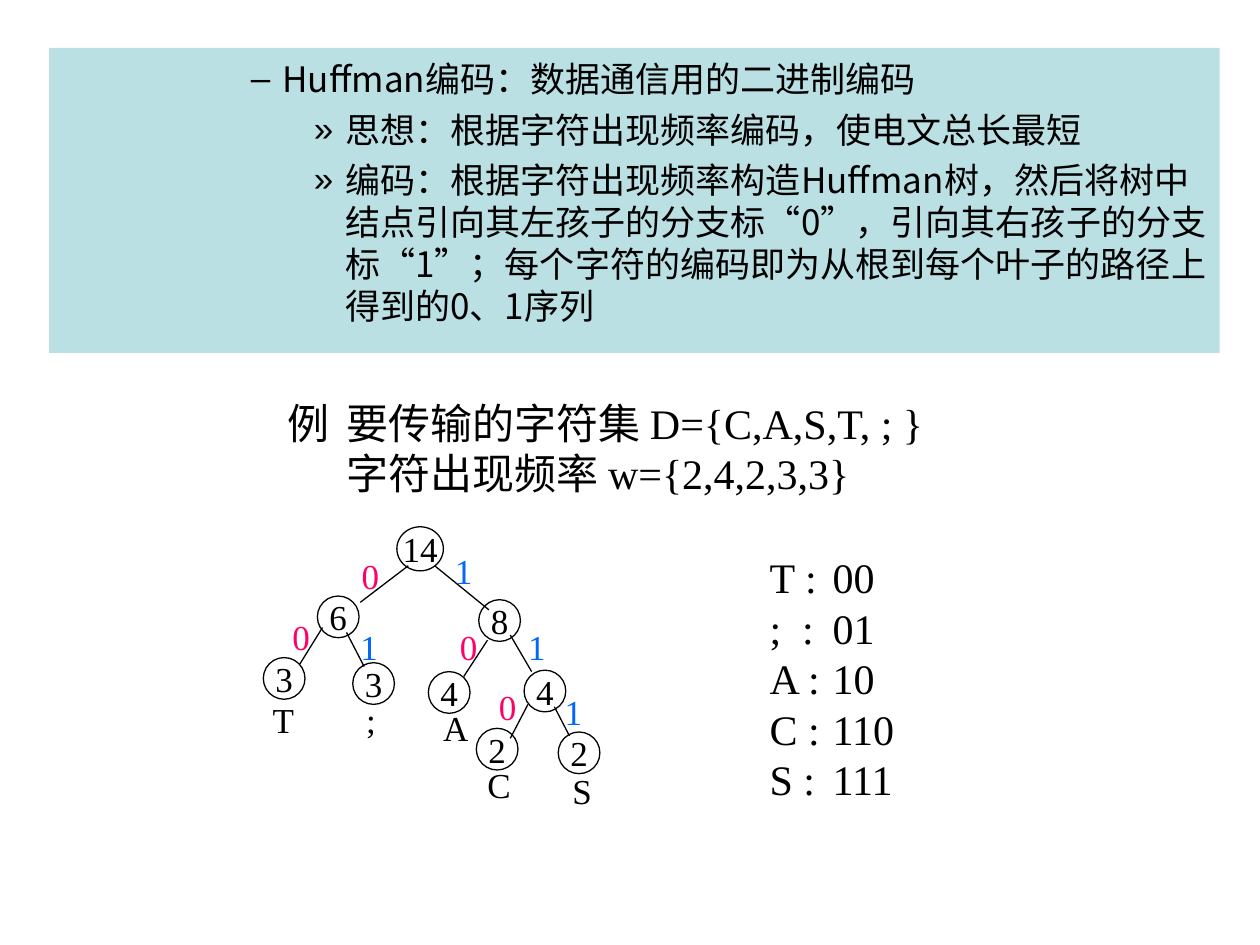
from dataclasses import dataclass

from lxml.etree import SubElement
from pptx import Presentation
from pptx.dml.color import RGBColor as Color
from pptx.enum.shapes import MSO_CONNECTOR as Connector, MSO_SHAPE as Shape
from pptx.enum.text import MSO_ANCHOR as Anchor, MSO_AUTO_SIZE as AutoSize, PP_ALIGN as Align
from pptx.oxml.ns import qn
from pptx.util import Pt


@dataclass(frozen=True)
class Theme:
    ink: Color = Color(0, 0, 0)
    panel: Color = Color(0xBB, 0xE0, 0xE3)
    zero: Color = Color(0xFF, 0x00, 0x66)
    one: Color = Color(0x00, 0x66, 0xFF)
    small: float = 20
    large: float = 24
    leading: float = 1.2
    serif: str = "Times New Roman"
    chinese: str = "Noto Sans CJK SC"


THEME = Theme()
NODE_SIZE = 23.8
LABEL_WIDTH, LABEL_HEIGHT = 24.5, 31.7

# level, bullet, left margin, text
POINTS = [
    (3, "–", 126, "Huffman编码：数据通信用的二进制编码"),
    (4, "»", 162, "思想：根据字符出现频率编码，使电文总长最短"),
    (4, "»", 162, "编码：根据字符出现频率构造Huffman树，然后将树中结点引向其左孩子的"
                  "分支标“0”，引向其右孩子的分支标“1”；每个字符的编码即为从根到"
                  "每个叶子的路径上得到的0、1序列"),
]

# weight, left, top
NODES = [
    ("6", 181.4, 340.6), ("8", 273.6, 342.7),
    ("3", 150.5, 375.8), ("3", 201.6, 378.7),
    ("4", 244.8, 383.8), ("4", 299.5, 383),
    ("2", 272.2, 416.2), ("2", 319, 418.3),
]

# line start, line end, bit, bit box corner
BRANCHES = [
    ((233.3, 323.3), (205.9, 344.2), "0", (199.4, 313.2)),
    ((248.4, 323.3), (279.4, 348.5), "1", (252.7, 310.3)),
    ((184.3, 358.6), (171.4, 379.4), "0", (159.8, 347.8)),
    ((198, 361.4), (208.1, 380.9), "1", (198.7, 353.5)),
    ((278.6, 365.8), (265, 386.6), "0", (255.6, 353.5)),
    ((291.6, 362.9), (303.8, 383.8), "1", (294.5, 353.5)),
    ((301.7, 402.5), (291.6, 421.9), "0", (277.9, 388.1)),
    ((316.8, 403.9), (325.4, 420.5), "1", (315.4, 391)),
]

LEAVES = [("T", 148.7, 395.3), (";", 199.8, 395.3), ("A", 246.2, 399.6),
          ("C", 271.4, 432.7), ("S", 320, 435.6)]
CODES = [("T :", "00"), (";  :", "01"), ("A :", "10"), ("C :", "110"), ("S :", "111")]


def write(frame, text, size=THEME.small, color=THEME.ink, font=THEME.serif, align=Align.LEFT,
          level=0, bullet=None, margin=0, indent=0, tab=None, before=0):
    """Fill the frame's empty first paragraph, or add another one after it."""
    first = not frame.paragraphs[0].runs
    para = frame.paragraphs[0] if first else frame.add_paragraph()
    para.level, para.alignment = level, align
    para.line_spacing = Pt(size * THEME.leading)
    para.space_before = Pt(0 if first else before)
    props = para._p.get_or_add_pPr()
    props.set("marL", str(Pt(margin)))
    props.set("indent", str(Pt(indent)))
    if bullet:
        bullet_color = SubElement(props, qn("a:buClr"))
        SubElement(bullet_color, qn("a:srgbClr"), val=str(color))
        SubElement(props, qn("a:buChar"), char=bullet)
    if tab:
        tabs = SubElement(props, qn("a:tabLst"))
        SubElement(tabs, qn("a:tab"), pos=str(Pt(tab)), algn="l")
    span = para.add_run()
    span.text = text
    span.font.size, span.font.name = Pt(size), font
    span.font.color.rgb = color
    SubElement(span._r.get_or_add_rPr(), qn("a:ea"), typeface=THEME.chinese)


class SlideBuilder:
    def __init__(self, slide, theme):
        self.slide, self.theme = slide, theme

    def body(self, points, left, top, width, height):
        box = self.slide.placeholders[1]
        box.left, box.top, box.width, box.height = map(Pt, (left, top, width, height))
        box.fill.solid()
        box.fill.fore_color.rgb = self.theme.panel
        frame = box.text_frame
        frame.auto_size, frame.word_wrap = AutoSize.NONE, True
        frame.vertical_anchor = Anchor.TOP
        frame.margin_top = Pt(5.3)
        for level, bullet, margin, text in points:
            write(frame, text, font=self.theme.chinese, level=level, bullet=bullet,
                  margin=margin, indent=-18, before=5)

    def text_box(self, left, top, width, height, wrap=True):
        box = self.slide.shapes.add_textbox(*map(Pt, (left, top, width, height)))
        frame = box.text_frame
        frame.word_wrap, frame.vertical_anchor = wrap, Anchor.MIDDLE
        return frame

    def label(self, text, left, top, color=THEME.ink):
        frame = self.text_box(left, top, LABEL_WIDTH, LABEL_HEIGHT, wrap=False)
        write(frame, text, color=color, align=Align.CENTER)

    def node(self, weight, left, top, width=NODE_SIZE, height=NODE_SIZE):
        circle = self.slide.shapes.add_shape(Shape.OVAL, *map(Pt, (left, top, width, height)))
        circle.shadow.inherit = False
        circle.fill.background()
        circle.line.color.rgb, circle.line.width = self.theme.ink, Pt(0.75)
        frame = circle.text_frame
        frame.word_wrap, frame.vertical_anchor = False, Anchor.MIDDLE
        write(frame, weight, align=Align.CENTER)

    def branch(self, start, end):
        line = self.slide.shapes.add_connector(Connector.STRAIGHT, *map(Pt, (*start, *end)))
        line.line.color.rgb, line.line.width = self.theme.ink, Pt(0.75)
        SubElement(line._element.spPr, qn("a:effectLst"))


def main():
    deck = Presentation()
    deck.slide_width, deck.slide_height = Pt(720), Pt(540)
    slide = deck.slides.add_slide(deck.slide_layouts[1])
    title = slide.shapes.title._element
    title.getparent().remove(title)
    page = SlideBuilder(slide, THEME)

    page.body(POINTS, 28.1, 27.4, 668.9, 174.2)

    example = page.text_box(157, 223.4, 385.9, 64.8)
    write(example, "例\t要传输的字符集 D={C,A,S,T, ; }", size=THEME.large,
          margin=34, indent=-34, tab=34)
    write(example, "字符出现频率 w={2,4,2,3,3}", size=THEME.large, margin=34)

    page.node("14", 226.8, 301, 26.6, 25.2)
    for node in NODES:
        page.node(*node)
    for start, end, bit, corner in BRANCHES:
        page.branch(start, end)
        page.label(bit, *corner, color=THEME.zero if bit == "0" else THEME.one)
    for leaf in LEAVES:
        page.label(*leaf)

    codes = page.text_box(432.7, 311.8, 97.2, 151.2)
    for letter, code in CODES:
        write(codes, f"{letter}\t{code}", size=THEME.large, tab=49)

    deck.save("out.pptx")


if __name__ == "__main__":
    main()
